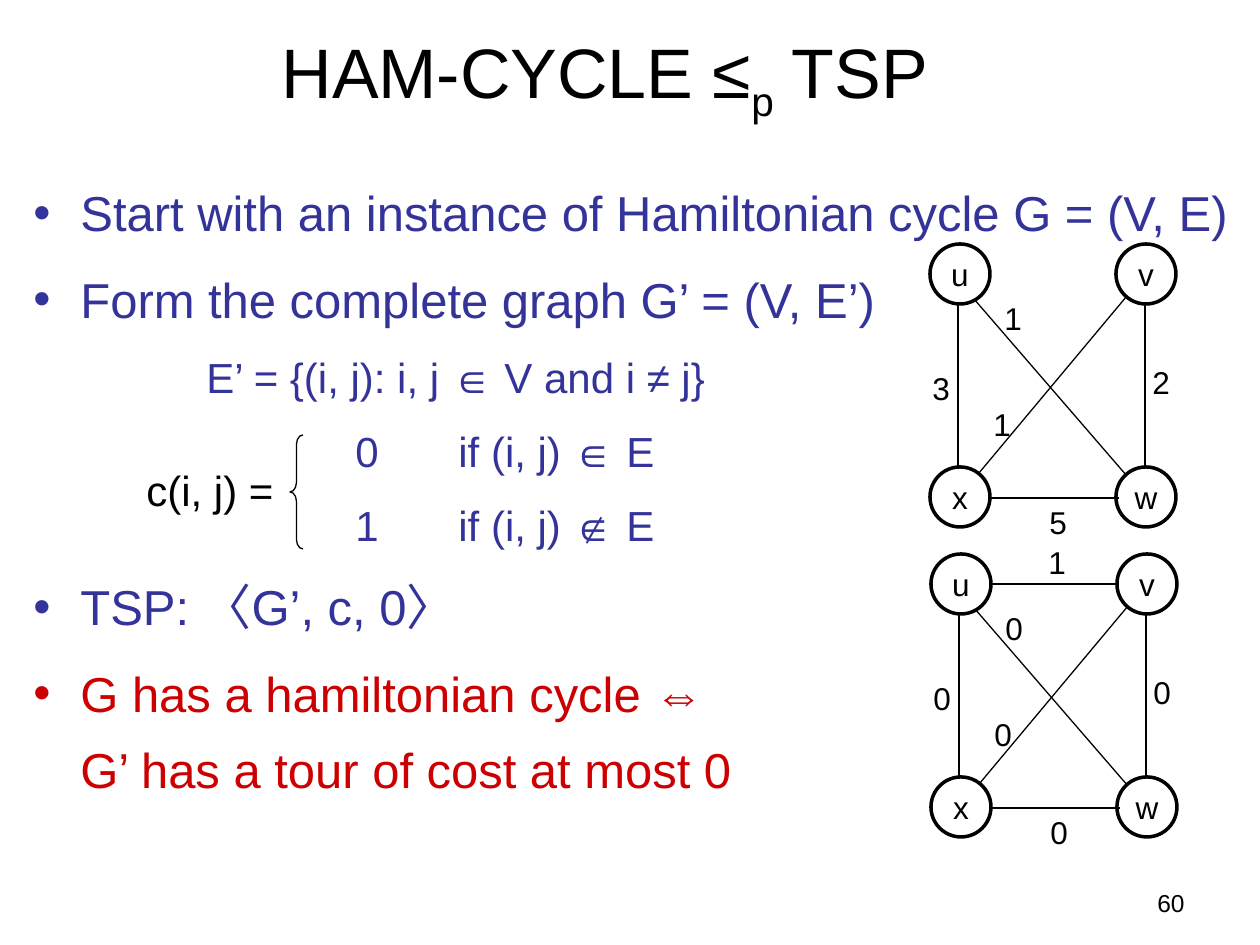
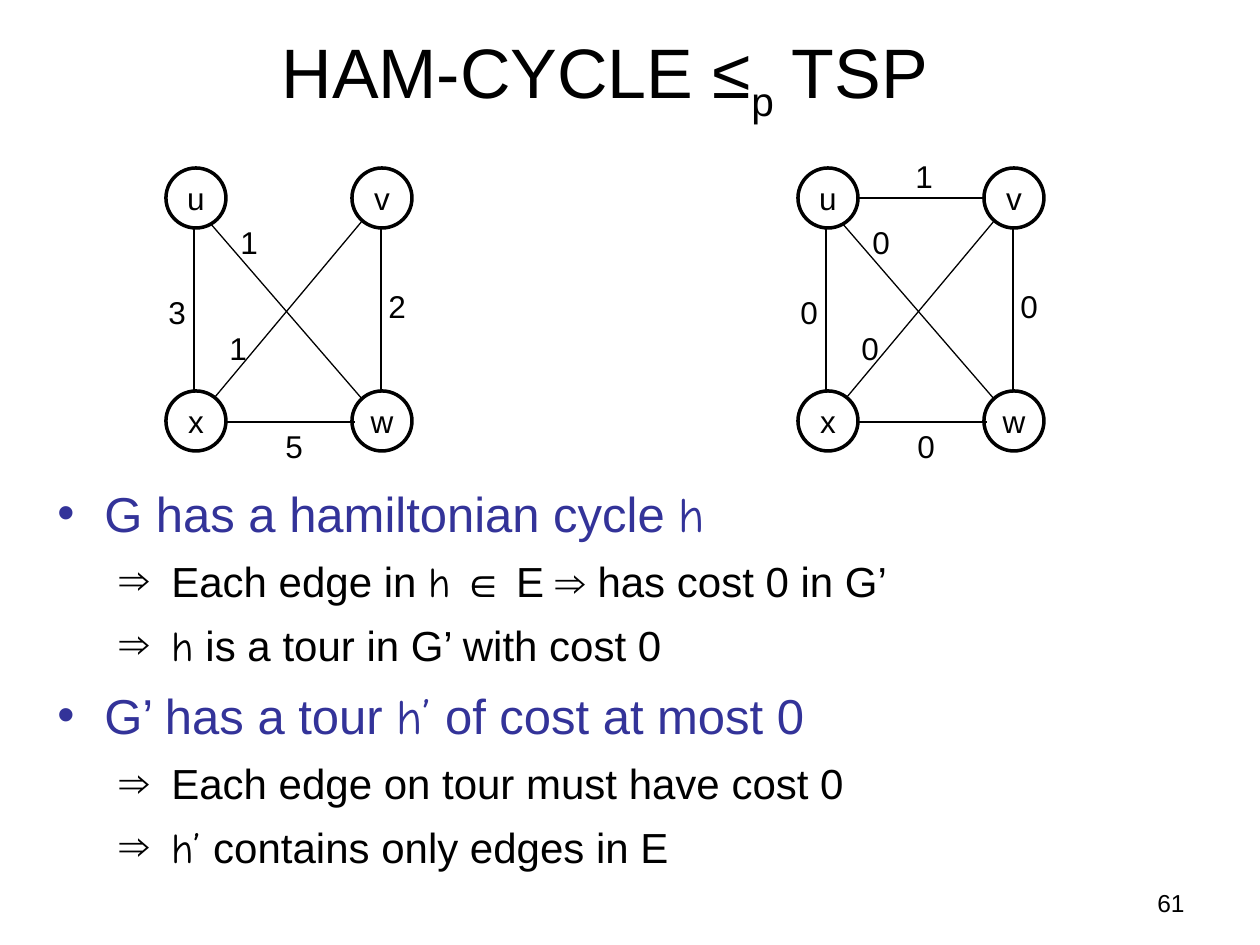
from lxml.etree import SubElement
from pptx import Presentation
from pptx.dml.color import RGBColor
from pptx.enum.shapes import MSO_CONNECTOR, MSO_SHAPE
from pptx.enum.text import MSO_ANCHOR, PP_ALIGN
from pptx.oxml.ns import qn
from pptx.util import Emu, Pt

PIXEL = 914400 / 126
COLORS = {"black": "000000", "white": "FFFFFF", "blue": "333399", "red": "CC0000"}
BODY_FONT, TOUR_FONT = "Arial", "Comic Neue"
NODE_SIZE = 60
NODES = {"u": (0, 0), "v": (186, 0), "x": (0, 223), "w": (186, 223)}
EDGES = {
    "uv": ((58, 30), (188, 30), (105, -17)),
    "xw": ((59, 254), (189, 254), (107, 253)),
    "ux": ((28, 59), (28, 223), (-10, 119)),
    "vw": ((215, 59), (215, 223), (210, 113)),
    "uw": ((44, 55), (197, 232), (62, 49)),
    "vx": ((197, 52), (49, 229), (51, 155)),
}
INSTANCE = {"xw": "5", "ux": "3", "vw": "2", "vx": "1", "uw": "1"}
COMPLETE = {"uv": "1", "xw": "0", "ux": "0", "vw": "0", "vx": "0", "uw": "0"}

POINT = {"bullet": "•", "margin": 48, "indent": -47, "size": 28, "color": "blue"}
RESULT = {**POINT, "color": "red"}
FORMULA = {"margin": 174, "indent": 0, "size": 24, "color": "blue"}
CASE = {**FORMULA, "margin": 426, "indent": -103}
STEP = {"bullet": "⇒", "margin": 115, "indent": -52, "size": 24, "color": "black"}

SLIDES = [
    {
        "number": "60",
        "body": (20, 159, 1240, 746),
        "spacing": 1.3,
        "paragraphs": [
            (POINT, ["Start with an instance of Hamiltonian cycle G = (V, E)"]),
            (POINT, ["Form the complete graph G’ = (V, E’)"]),
            (FORMULA, ["E’ = {(i, j): i, j ∈ V and i ≠ j}"]),
            (CASE, ["0\tif (i, j) ∈ E"]),
            (CASE, ["1\tif (i, j) ∉ E"]),
            (POINT, ["TSP: 〈G’, c, 0〉"]),
            (RESULT, ["G has a hamiltonian cycle ⇔", "\v", "G’ has a tour of cost at most 0"]),
        ],
        "graphs": [((930, 244), INSTANCE), ((931, 554), COMPLETE)],
    },
    {
        "number": "61",
        "body": (44, 471, 1186, 442),
        "spacing": 1.1,
        "paragraphs": [
            (POINT, ["G has a hamiltonian cycle ", "h"]),
            (STEP, ["Each edge in ", "h", " ∈ E ⇒ has cost 0 in G’"]),
            (STEP, ["h", " is a tour in G’ with cost 0"]),
            (POINT, ["G’ has a tour ", "h’", " of cost at most 0"]),
            (STEP, ["Each edge on tour must have cost 0"]),
            (STEP, ["h’", " contains only edges in E"]),
        ],
        "graphs": [((166, 168), INSTANCE), ((798, 168), COMPLETE)],
    },
]


def px(*lengths):
    return [Emu(round(length * PIXEL)) for length in lengths]


def add_run(paragraph, text, size, color="black"):
    run = paragraph.add_run()
    run.text = text
    font_format = {"name": TOUR_FONT if text in ("h", "h’") else BODY_FONT, "size": Pt(size)}
    for name, value in font_format.items():
        setattr(run.font, name, value)
    run.font.color.rgb = RGBColor.from_string(COLORS[color])
    return run


presentation = Presentation()
presentation.slide_width, presentation.slide_height = px(1260, 945)
black, white = (RGBColor.from_string(COLORS[name]) for name in ("black", "white"))

for content in SLIDES:
    slide = presentation.slides.add_slide(presentation.slide_layouts[6])

    number = slide.shapes.add_textbox(*px(903, 882, 294, 44)).text_frame
    number.word_wrap = True
    number.paragraphs[0].alignment = PP_ALIGN.RIGHT
    add_run(number.paragraphs[0], content["number"], 14)

    title = slide.shapes.add_textbox(*px(47, 14, 1134, 125)).text_frame
    for name, value in {"word_wrap": True, "vertical_anchor": MSO_ANCHOR.MIDDLE}.items():
        setattr(title, name, value)
    title.paragraphs[0].alignment = PP_ALIGN.CENTER
    add_run(title.paragraphs[0], "HAM-CYCLE ≤", 40)
    subscript = add_run(title.paragraphs[0], "p", 40)
    subscript._r.get_or_add_rPr().set("baseline", "-25000")
    add_run(title.paragraphs[0], " TSP ", 40)

    body = slide.shapes.add_textbox(*px(*content["body"])).text_frame
    body.word_wrap = True
    for index, (style, texts) in enumerate(content["paragraphs"]):
        paragraph = body.add_paragraph() if index else body.paragraphs[0]
        properties = paragraph._p.get_or_add_pPr()
        margin, indent = px(style["margin"], style["indent"])
        properties.set("marL", str(margin))
        properties.set("indent", str(indent))
        if "bullet" in style:
            SubElement(properties, qn("a:buFont"), typeface=BODY_FONT)
            SubElement(properties, qn("a:buChar"), char=style["bullet"])
        paragraph.line_spacing = content["spacing"]
        if index:
            paragraph.space_before = Pt(0.2 * style["size"])
        for text in texts:
            if text == "\v":
                paragraph.add_line_break()
            else:
                add_run(paragraph, text, style["size"], style["color"])

    for (left, top), weights in content["graphs"]:
        shapes = slide.shapes.add_group_shape().shapes if "uv" in weights else slide.shapes
        for node, (x, y) in NODES.items():
            circle = shapes.add_shape(MSO_SHAPE.OVAL, *px(left + x, top + y, NODE_SIZE, NODE_SIZE))
            circle.shadow.inherit = False
            circle.fill.solid()
            circle.fill.fore_color.rgb = white
            circle.line.color.rgb = black
            circle.line.width = Pt(2)
            frame = circle.text_frame
            for name, value in {"word_wrap": False, "vertical_anchor": MSO_ANCHOR.MIDDLE}.items():
                setattr(frame, name, value)
            frame.paragraphs[0].alignment = PP_ALIGN.CENTER
            add_run(frame.paragraphs[0], node, 18)
        for edge, weight in weights.items():
            start, end, label = [(left + x, top + y) for x, y in EDGES[edge]]
            connector = shapes.add_connector(MSO_CONNECTOR.STRAIGHT, *px(*start, *end))
            connector.line.color.rgb = black
            connector.line.width = Pt(0.75)
            SubElement(connector._element.spPr, qn("a:effectLst"))
            frame = shapes.add_textbox(*px(*label, 43, 50)).text_frame
            frame.word_wrap = False
            add_run(frame.paragraphs[0], weight, 18)

cost_slide = presentation.slides[0]
brace = cost_slide.shapes.add_shape(MSO_SHAPE.LEFT_BRACE, *px(290, 435, 13, 114))
brace.shadow.inherit = False
brace.adjustments[0] = 0.725
brace.fill.background()
brace.line.color.rgb = black
brace.line.width = Pt(0.75)
cost = cost_slide.shapes.add_textbox(*px(134, 458, 152, 63)).text_frame
cost.word_wrap = False
add_run(cost.paragraphs[0], "c(i, j) =", 24)

presentation.save("out.pptx")
